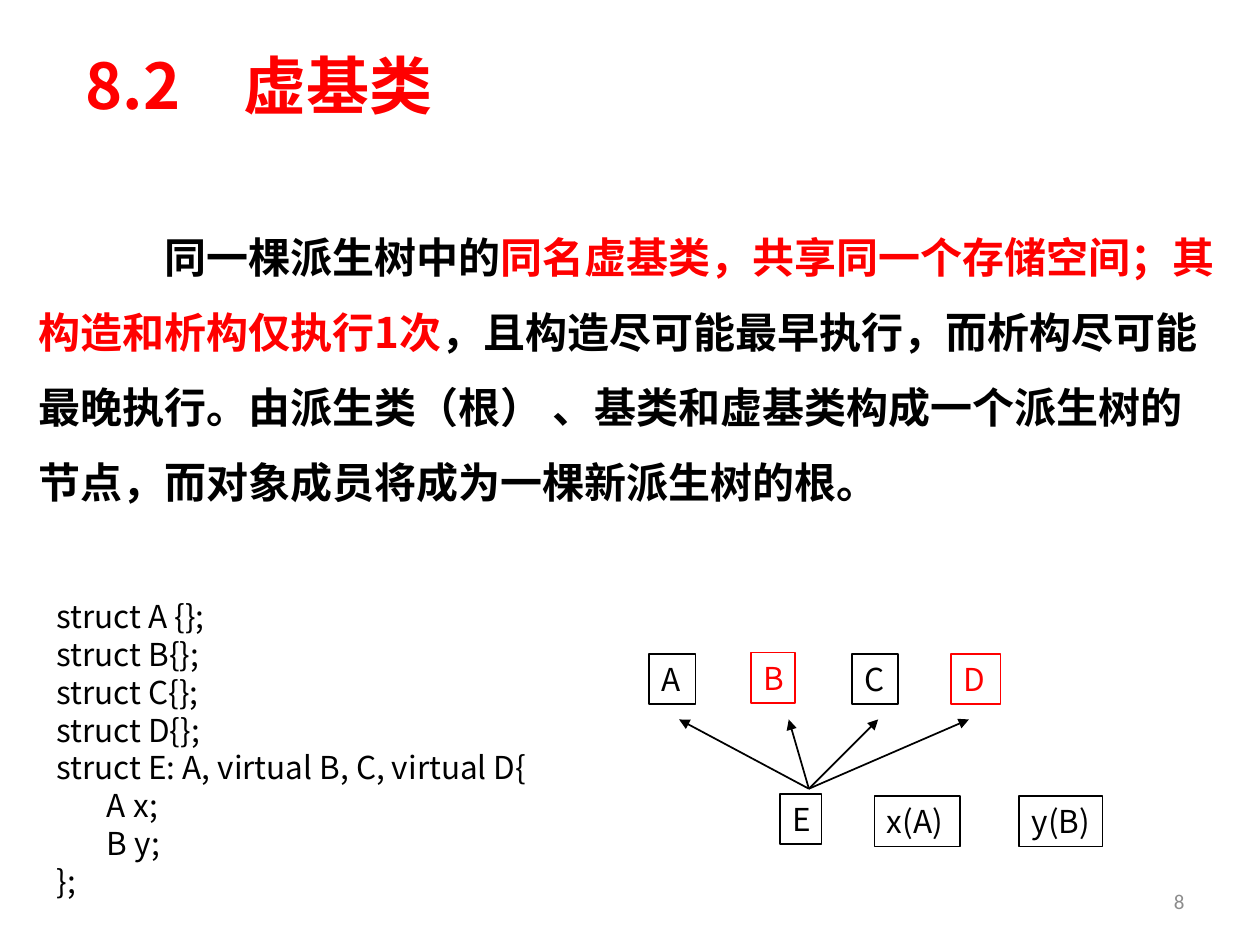
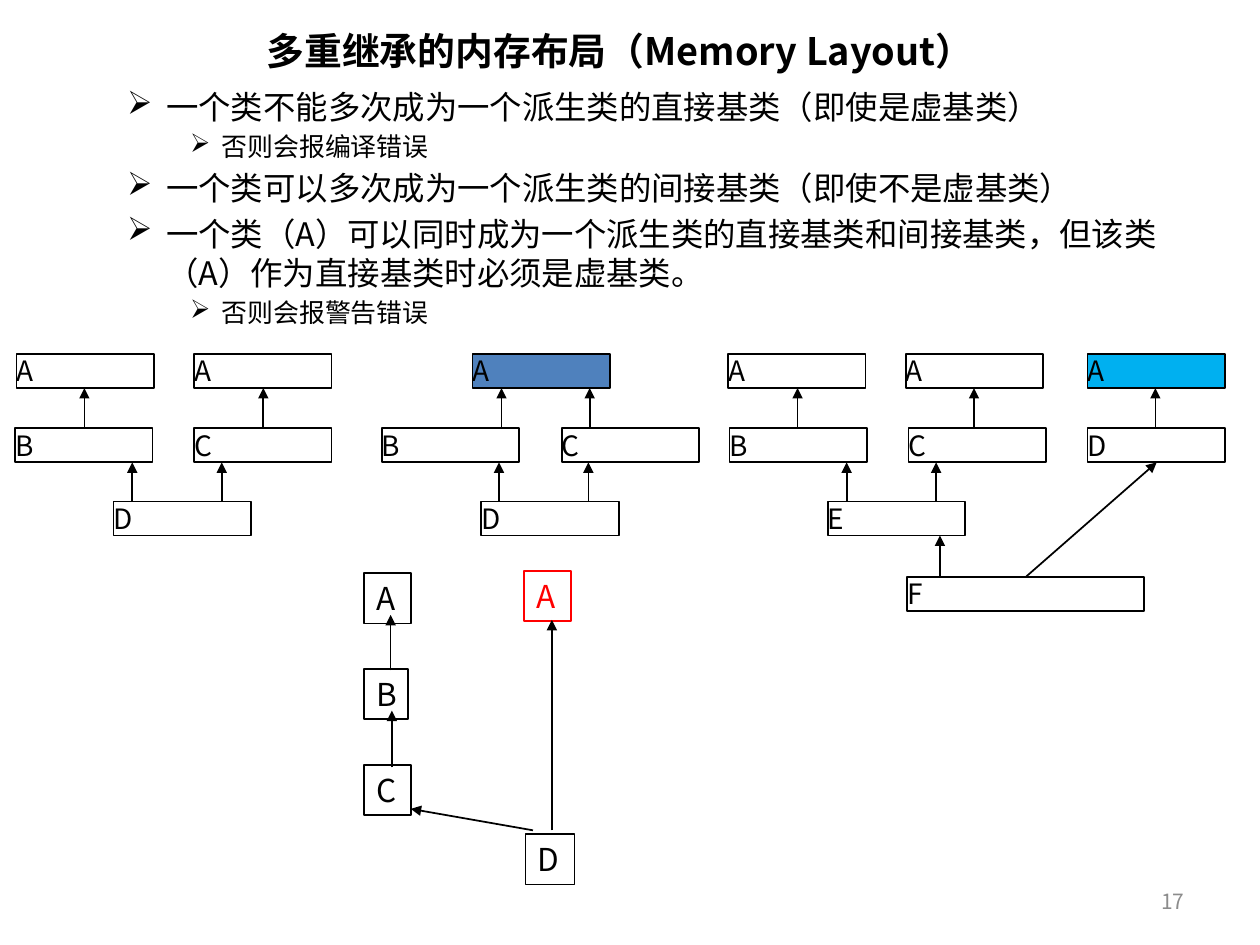
from dataclasses import dataclass

from lxml import etree
from pptx import Presentation
from pptx.dml.color import RGBColor
from pptx.enum.shapes import MSO_CONNECTOR, MSO_SHAPE
from pptx.enum.text import MSO_ANCHOR, PP_ALIGN
from pptx.oxml.ns import qn
from pptx.util import Inches, Pt

RECTANGLE = MSO_SHAPE.RECTANGLE
STRAIGHT = MSO_CONNECTOR.STRAIGHT
TOP, MIDDLE = MSO_ANCHOR.TOP, MSO_ANCHOR.MIDDLE
LEFT, CENTER, RIGHT = PP_ALIGN.LEFT, PP_ALIGN.CENTER, PP_ALIGN.RIGHT

COLORS = {
    "black": "000000",
    "red": "FF0000",
    "gray": "8C8C8C",
    "blue": "4F81BD",
    "cyan": "00B0F0",
}
FONT = "Noto Sans CJK JP"
TITLE_FONT = "Noto Sans CJK SC"
NUMBER_FONT = "Calibri"
LINE_FACTOR = 1.2
PARAGRAPH_GAP = 0.2
NODE_HEIGHT = 0.4
BAR_WIDTH, BAR_HEIGHT = 1.09, 0.27
BAR_ROWS = (2.81, 3.4, 3.98, 4.58)


@dataclass(frozen=True)
class TextStyle:
    size: float
    color: str = "black"
    bold: bool = False
    font: str = FONT
    align: PP_ALIGN = LEFT
    line_factor: float = LINE_FACTOR


@dataclass(frozen=True)
class Node:
    """A small square box holding a class name."""
    label: str
    left: float
    top: float
    width: float = 0.37
    color: str = "black"


@dataclass(frozen=True)
class Bar:
    """A wide memory box on one of the bar rows."""
    label: str
    left: float
    row: int
    width: float = BAR_WIDTH
    fill: str = ""


@dataclass(frozen=True)
class Arrow:
    start: tuple[float, float]
    end: tuple[float, float]


def rgb(name: str) -> RGBColor:
    return RGBColor.from_string(COLORS[name])


# Text helpers
def format_run(run, style: TextStyle, color: str = "") -> None:
    run.font.size = Pt(style.size)
    run.font.bold = style.bold
    run.font.name = style.font
    run.font.color.rgb = rgb(color or style.color)
    east_asian = etree.SubElement(run.font._element, qn("a:ea"))
    east_asian.set("typeface", style.font)


def format_paragraph(paragraph, style: TextStyle) -> None:
    paragraph.alignment = style.align
    paragraph.line_spacing = Pt(style.size * style.line_factor)
    for run in paragraph.runs:
        format_run(run, style)


def set_indent(paragraph, margin: float, first: float = 0) -> None:
    properties = paragraph._p.get_or_add_pPr()
    properties.set("marL", str(Inches(margin)))
    properties.set("indent", str(Inches(first)))


def set_insets(text_frame, horizontal: float, vertical: float) -> None:
    text_frame.margin_left = text_frame.margin_right = Inches(horizontal)
    text_frame.margin_top = text_frame.margin_bottom = Inches(vertical)


def add_text(slide, box: tuple[float, ...], text: str, style: TextStyle,
             anchor: MSO_ANCHOR = TOP):
    shape = slide.shapes.add_textbox(*map(Inches, box))
    text_frame = shape.text_frame
    text_frame.word_wrap = True
    text_frame.vertical_anchor = anchor
    text_frame.text = text
    for paragraph in text_frame.paragraphs:
        format_paragraph(paragraph, style)
    return text_frame


def add_page_number(slide, number: str, font: str) -> None:
    style = TextStyle(12, "gray", font=font, align=RIGHT)
    add_text(slide, (7.17, 6.95, 2.33, 0.4), number, style, MIDDLE)


# Diagram helpers
def add_box(shapes, box: tuple[float, ...], label: str, style: TextStyle,
            fill: str = ""):
    shape = shapes.add_shape(RECTANGLE, *map(Inches, box))
    shape.shadow.inherit = False
    if fill:
        shape.fill.solid()
        shape.fill.fore_color.rgb = rgb(fill)
    else:
        shape.fill.background()
    shape.line.color.rgb = rgb(style.color)
    shape.line.width = Pt(1)
    text_frame = shape.text_frame
    text_frame.vertical_anchor = TOP
    text_frame.text = label
    format_paragraph(text_frame.paragraphs[0], style)
    return text_frame


def add_node(shapes, node: Node) -> None:
    box = (node.left, node.top, node.width, NODE_HEIGHT)
    text_frame = add_box(shapes, box, node.label, TextStyle(18, node.color))
    set_insets(text_frame, 0.1, 0.05)
    text_frame.word_wrap = False


def add_bar(shapes, bar: Bar) -> None:
    box = (bar.left, BAR_ROWS[bar.row], bar.width, BAR_HEIGHT)
    text_frame = add_box(shapes, box, bar.label, TextStyle(16), bar.fill)
    set_insets(text_frame, 0, 0)
    text_frame.word_wrap = True


def add_arrow(shapes, arrow: Arrow) -> None:
    points = map(Inches, arrow.start + arrow.end)
    connector = shapes.add_connector(STRAIGHT, *points)
    connector.line.color.rgb = rgb("black")
    connector.line.width = Pt(1)
    tail = etree.SubElement(connector.line._get_or_add_ln(), qn("a:tailEnd"))
    tail.set("type", "triangle")
    etree.SubElement(connector._element.spPr, qn("a:effectLst"))


def draw_diagram(shapes, nodes: list[Node], arrows: list[Arrow]) -> None:
    for node in nodes:
        add_node(shapes, node)
    for arrow in arrows:
        add_arrow(shapes, arrow)


# Slide: virtual base classes
RULE_PARTS = [
    ("同一棵派生树中的", "black"),
    ("同名虚基类，共享同一个存储空间；其构造和析构仅执行1次", "red"),
    ("，且构造尽可能最早执行，而析构尽可能最晚执行。由派生类（根） 、"
     "基类和虚基类构成一个派生树的节点，而对象成员将成为一棵新派生树的根。", "black"),
]
CODE_LINES = [
    "struct A {};", "struct B{};", "struct C{};", "struct D{};",
    "struct E: A, virtual B, C, virtual D{", "A x;", "B y;", "};",
]
MEMBER_LINES = ("A x;", "B y;")
TREE_NODES = [
    Node("A", 5.15, 5.19),
    Node("B", 5.96, 5.18, 0.35, "red"),
    Node("C", 6.76, 5.19),
    Node("D", 7.55, 5.19, 0.39, "red"),
    Node("E", 6.19, 6.3, 0.33),
    Node("x(A)", 6.94, 6.32, 0.68),
    Node("y(B)", 8.09, 6.32, 0.66),
]
TREE_ARROWS = [Arrow((6.42, 6.26), (x, 5.71)) for x in (5.39, 6.26, 6.97, 7.69)]


def build_virtual_base_slide(slide) -> None:
    add_page_number(slide, "8", NUMBER_FONT)
    title_style = TextStyle(36, "red", True, TITLE_FONT)
    add_text(slide, (0.58, 0.21, 8.5, 0.92), "8.2　虚基类", title_style, MIDDLE)

    # Rule with its key phrase in red
    rule_style = TextStyle(24, bold=True, line_factor=1.79)
    rule = add_text(slide, (0.21, 1.59, 9.58, 2.65), "", rule_style).paragraphs[0]
    set_indent(rule, 0, 1)
    for text, color in RULE_PARTS:
        run = rule.add_run()
        run.text = text
        format_run(run, rule_style, color)

    # Code
    code = add_text(slide, (0.35, 4.69, 5.22, 2.52), "\n".join(CODE_LINES),
                    TextStyle(18))
    for paragraph in code.paragraphs:
        if paragraph.text in MEMBER_LINES:
            set_indent(paragraph, 0.4)

    draw_diagram(slide.shapes, TREE_NODES, TREE_ARROWS)


# Slide: memory layout of multiple inheritance
BULLETS = [
    (1, "一个类不能多次成为一个派生类的直接基类（即使是虚基类）"),
    (2, "否则会报编译错误"),
    (1, "一个类可以多次成为一个派生类的间接基类（即使不是虚基类）"),
    (1, "一个类（A）可以同时成为一个派生类的直接基类和间接基类，"
        "但该类（A）作为直接基类时必须是虚基类。"),
    (2, "否则会报警告错误"),
]
# Level: text size, left margin, hanging indent
BULLET_LEVELS = {1: (18.5, 0.81, -0.31), 2: (14.8, 1.25, -0.25)}
BARS = [
    # Separate copies of A
    Bar("A", 0.13, 0), Bar("A", 1.54, 0),
    Bar("B", 0.12, 1), Bar("C", 1.54, 1), Bar("D", 0.9, 2),
    # One shared A
    Bar("A", 3.75, 0, fill="blue"),
    Bar("B", 3.03, 1), Bar("C", 4.46, 1), Bar("D", 3.82, 2),
    # Mixed
    Bar("A", 5.78, 0), Bar("A", 7.19, 0), Bar("A", 8.63, 0, fill="cyan"),
    Bar("B", 5.79, 1), Bar("C", 7.21, 1), Bar("D", 8.63, 1),
    Bar("E", 6.57, 2), Bar("F", 7.2, 3, 1.88),
]
# Row an arrow leaves upwards: horizontal places of its arrows
UP_ARROWS = {
    1: (0.67, 2.09, 3.98, 4.68, 6.33, 7.73, 9.17),
    2: (1.05, 1.76, 3.96, 4.67, 6.72, 7.43),
    3: (7.46,),
}
CHAIN_NODES = [
    Node("A", 2.89, 4.55),
    Node("B", 2.89, 5.31, 0.35),
    Node("C", 2.89, 6.07),
    Node("A", 4.16, 4.53, color="red"),
    Node("D", 4.17, 6.62, 0.39),
]
CHAIN_ARROWS = [
    Arrow((3.1, 5.32), (3.1, 4.88)),
    Arrow((3.11, 6.09), (3.11, 5.64)),
    Arrow((4.23, 6.59), (3.26, 6.42)),
    Arrow((4.38, 6.59), (4.38, 4.92)),
]


def build_memory_layout_slide(slide) -> None:
    add_page_number(slide, "17", FONT)
    add_text(slide, (0.67, 0.16, 8.5, 0.48), "多重继承的内存布局（Memory Layout）",
             TextStyle(21.6, bold=True, align=CENTER), MIDDLE)

    # Bullets
    text = "\n".join(line for _, line in BULLETS)
    body = add_text(slide, (0.51, 0.69, 9.21, 1.82), text, TextStyle(18.5))
    set_insets(body, 0, 0)
    for index, (level, _) in enumerate(BULLETS):
        paragraph = body.paragraphs[index]
        size, margin, hanging = BULLET_LEVELS[level]
        paragraph.level = level
        paragraph.line_spacing = Pt(size * LINE_FACTOR)
        paragraph.space_before = Pt(size * PARAGRAPH_GAP if index else 0)
        paragraph.runs[0].font.size = Pt(size)
        set_indent(paragraph, margin, hanging)
        bullet = etree.SubElement(paragraph._p.get_or_add_pPr(), qn("a:buChar"))
        bullet.set("char", "➢")

    # Memory bars and their arrows
    for bar in BARS:
        add_bar(slide.shapes, bar)
    for row, places in UP_ARROWS.items():
        target = BAR_ROWS[row - 1] + BAR_HEIGHT
        for x in places:
            add_arrow(slide.shapes, Arrow((x, BAR_ROWS[row]), (x, target)))
    add_arrow(slide.shapes, Arrow((8.14, 4.58), (9.18, 3.67)))

    # Inheritance chain
    chain = slide.shapes.add_group_shape()
    draw_diagram(chain.shapes, CHAIN_NODES, CHAIN_ARROWS)


def main() -> None:
    presentation = Presentation()
    presentation.slide_width = Inches(10)
    presentation.slide_height = Inches(7.5)
    blank = presentation.slide_layouts[6]
    for build in (build_virtual_base_slide, build_memory_layout_slide):
        build(presentation.slides.add_slide(blank))
    presentation.save("out.pptx")


if __name__ == "__main__":
    main()
